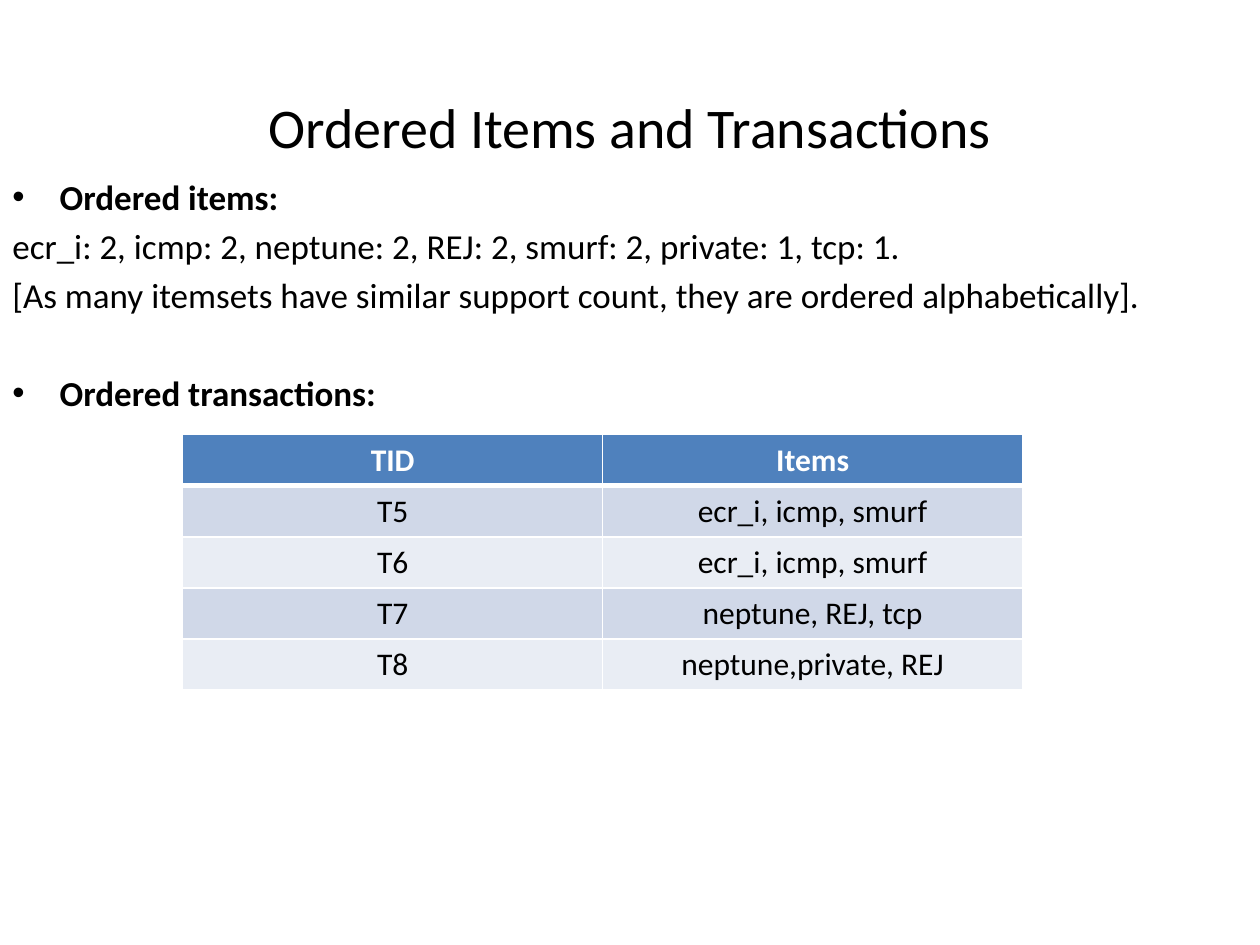
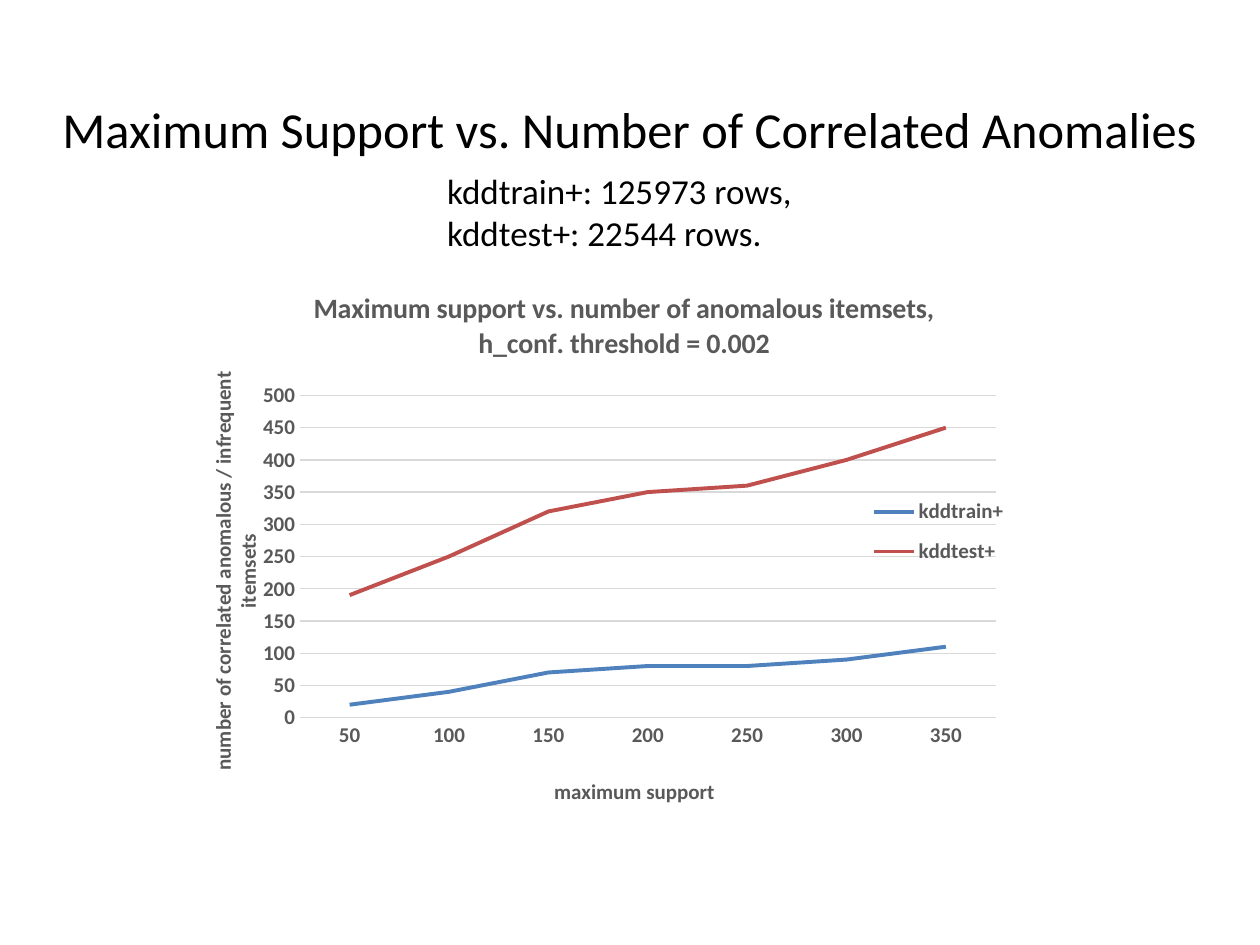
from dataclasses import dataclass

from lxml import etree
from pptx import Presentation
from pptx.chart.data import CategoryChartData
from pptx.dml.color import RGBColor
from pptx.enum import chart as ch, text as tx
from pptx.oxml import parse_xml
from pptx.oxml.ns import nsdecls, qn
from pptx.util import Pt


@dataclass(frozen=True)
class Theme:
    font: str = "Calibri"
    ink: str = "000000"
    white: str = "FFFFFF"
    header: str = "4F81BD"
    bands: tuple = ("D0D8E8", "E9EDF4")
    lines: tuple = ("4F81BD", "C0504D")
    chart_ink: str = "595959"
    grid: str = "D9D9D9"
    body: float = 20
    cell: float = 18
    chart_title: float = 16
    chart_text: float = 12


theme = Theme()
rgb = RGBColor.from_string


def write(tf, text, size=theme.body, color=theme.ink, bold=False, align=None, before=0, bullet=False):
    """Fill the frame's empty first paragraph, or append a new one."""
    p = tf.paragraphs[0] if not tf.text else tf.add_paragraph()
    if bullet:
        pPr = p._p.get_or_add_pPr()
        pPr.set("marL", str(Pt(27)))
        pPr.set("indent", str(-Pt(27)))
        pPr.append(parse_xml(f'<a:buFont {nsdecls("a")} typeface="Arial"/>'))
        pPr.append(parse_xml(f'<a:buChar {nsdecls("a")} char="•"/>'))
    if align is not None:
        p.alignment = align
    if before:
        p.space_before = Pt(before)
    r = p.add_run()
    r.text = text
    r.font.name, r.font.size, r.font.bold = theme.font, Pt(size), bold
    r.font.color.rgb = rgb(color)


def place(element, after, **fractions):
    """Give a chart part a manual layout in fractions of the chart."""
    for old in element.findall(qn("c:layout")):
        element.remove(old)
    layout = etree.Element(qn("c:layout"))
    manual = etree.SubElement(layout, qn("c:manualLayout"))
    if after is None:
        etree.SubElement(manual, qn("c:layoutTarget")).set("val", "inner")
    for key in "xy":
        etree.SubElement(manual, qn(f"c:{key}Mode")).set("val", "edge")
    for key, value in fractions.items():
        etree.SubElement(manual, qn(f"c:{key}")).set("val", str(value))
    if after is None:
        element.insert(0, layout)
    else:
        element.find(qn(after)).addnext(layout)


prs = Presentation()
prs.slide_width, prs.slide_height = Pt(720), Pt(540)
CENTER = tx.PP_ALIGN.CENTER

# Titled slides
slides = []
for title, height, size in (
    ("Ordered Items and Transactions", 49, 32),
    ("Maximum Support vs. Number of Correlated Anomalies", 51.8, 28.8),
):
    s = prs.slides.add_slide(prs.slide_layouts[5])
    sp = s.shapes.title
    sp.left, sp.top, sp.width, sp.height = Pt(0), Pt(47.5), Pt(720), Pt(height)
    sp.text_frame.vertical_anchor = tx.MSO_ANCHOR.MIDDLE
    write(sp.text_frame, title, size=size, align=CENTER)
    slides.append(s)
items_slide, support_slide = slides

# Ordered items
tf = items_slide.shapes.add_textbox(Pt(0), Pt(96.5), Pt(720), Pt(443.5)).text_frame
tf.word_wrap = True
write(tf, "Ordered items:", bold=True, bullet=True)
write(tf, "ecr_i: 2, icmp: 2, neptune: 2, REJ: 2, smurf: 2, private: 1, tcp: 1.", before=4)
write(tf, "[As many itemsets have similar support count, they are ordered alphabetically].", before=4)
write(tf, "Ordered transactions:", bold=True, bullet=True, before=32.4)

# Transactions table
transactions = [
    ("TID", "Items"),
    ("T5", "ecr_i, icmp, smurf"),
    ("T6", "ecr_i, icmp, smurf"),
    ("T7", "neptune, REJ, tcp"),
    ("T8", "neptune,private, REJ"),
]
table = items_slide.shapes.add_table(
    len(transactions), 2, Pt(104.4), Pt(248.4), Pt(480), Pt(146)).table
for row, values in enumerate(transactions):
    table.rows[row].height = Pt(29.2)
    for col, value in enumerate(values):
        cell = table.cell(row, col)
        is_header = row == 0
        cell.fill.solid()
        cell.fill.fore_color.rgb = rgb(theme.header if is_header else theme.bands[(row - 1) % 2])
        write(cell.text_frame, value, size=theme.cell, bold=is_header, align=CENTER,
              color=theme.white if is_header else theme.ink)
        for i, side in enumerate("LRTB"):
            thick = (is_header and side == "B") or (row == 1 and side == "T")
            cell._tc.get_or_add_tcPr().insert(i, parse_xml(
                f'<a:ln{side} {nsdecls("a")} w="{Pt(3 if thick else 1)}"><a:solidFill>'
                f'<a:srgbClr val="{theme.white}"/></a:solidFill></a:ln{side}>'))

# Support chart
data = CategoryChartData()
data.categories = [str(n) for n in range(50, 351, 50)]
data.add_series("kddtrain+", (20, 40, 70, 80, 80, 90, 110))
data.add_series("kddtest+", (170, 210, 250, 270, 280, 310, 340))
chart = support_slide.shapes.add_chart(
    ch.XL_CHART_TYPE.LINE_STACKED, Pt(107.3), Pt(149.8), Pt(493.2), Pt(317.5), data).chart
chart.font.name, chart.font.size = theme.font, Pt(10)
place(chart._chartSpace.chart.plotArea, None, x=0.13, y=0.24, w=0.806, h=0.58)

for series, color in zip(chart.plots[0].series, theme.lines):
    series.smooth = False
    series.marker.style = ch.XL_MARKER_STYLE.NONE
    series.format.line.color.rgb = rgb(color)
    series.format.line.width = Pt(2.25)

cat_axis, val_axis = chart.category_axis, chart.value_axis
val_axis.minimum_scale, val_axis.maximum_scale, val_axis.major_unit = 0, 500, 50
val_axis.format.line.fill.background()
for line in (cat_axis.format.line, val_axis.major_gridlines.format.line):
    line.color.rgb = rgb(theme.grid)
    line.width = Pt(0.75)
for axis in (cat_axis, val_axis):
    axis.major_tick_mark = axis.minor_tick_mark = ch.XL_TICK_MARK.NONE

chart.has_legend = True
legend = chart.legend
legend.position = ch.XL_LEGEND_POSITION.BOTTOM
legend.include_in_layout = True
place(legend._element, "c:legendPos", x=0.77, y=0.4, w=0.2, h=0.17)
for font in (cat_axis.tick_labels.font, val_axis.tick_labels.font, legend.font):
    font.name, font.size, font.bold = theme.font, Pt(theme.chart_text), True
    font.color.rgb = rgb(theme.chart_ink)

for title, caption, size, x, y in (
    (chart.chart_title, "Maximum support vs. number of anomalous itemsets, h_conf. threshold = 0.002",
     theme.chart_title, 0.14, 0.04),
    (cat_axis.axis_title, "maximum support", theme.chart_text, 0.42, 0.92),
    (val_axis.axis_title, "number of correlated anomalous / infrequent itemsets", theme.chart_text, 0.02, 0.19),
):
    write(title.text_frame, caption, size=size, color=theme.chart_ink, bold=True, align=CENTER)
    place(title._element, "c:tx", x=x, y=y)
body = val_axis.axis_title.text_frame._txBody.find(qn("a:bodyPr"))
body.set("rot", "-5400000")
body.set("vert", "horz")

# Row counts
tf = support_slide.shapes.add_textbox(Pt(248.4), Pt(93.6), Pt(248.4), Pt(55.4)).text_frame
tf.word_wrap = True
for count in ("kddtrain+: 125973 rows,", "kddtest+: 22544 rows."):
    write(tf, count)

prs.save("out.pptx")
